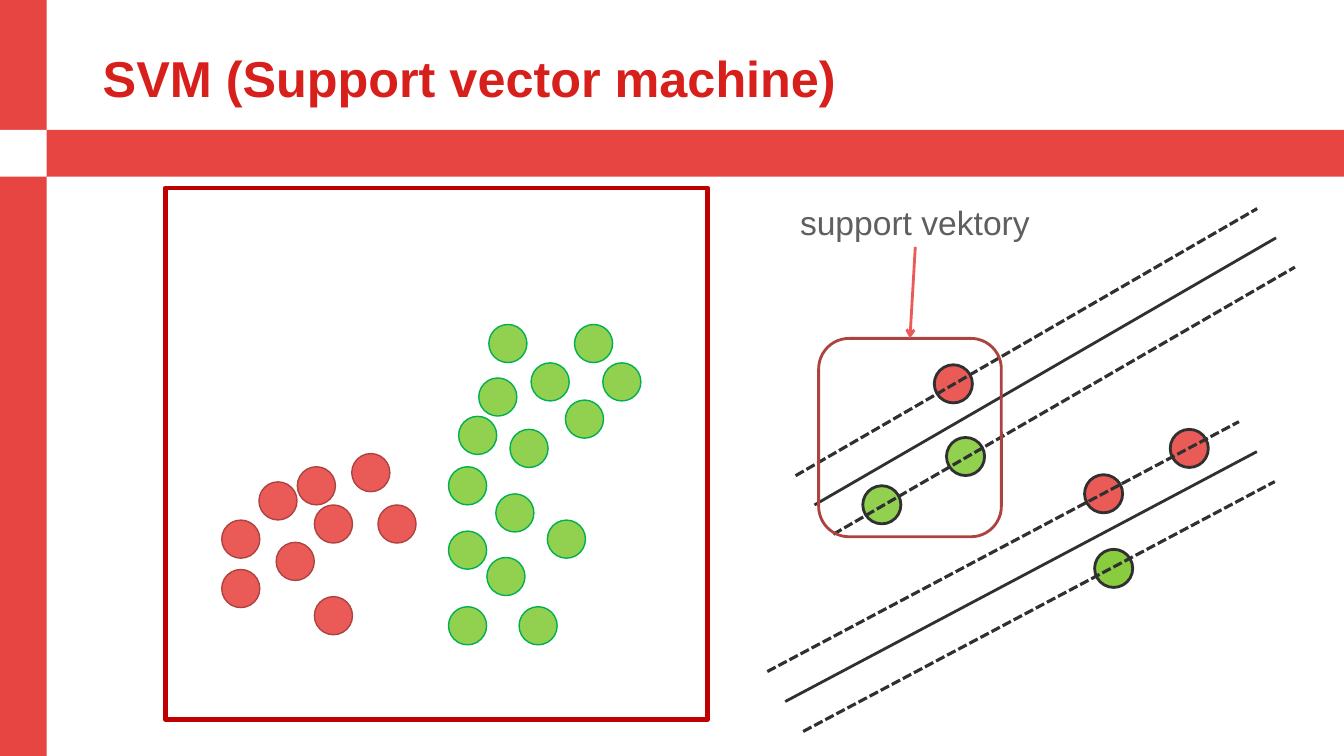
from dataclasses import dataclass
from typing import NamedTuple

from pptx import Presentation
from pptx import util as u
from pptx.dml.color import RGBColor
from pptx.enum import dml, shapes, text
from pptx.oxml.ns import qn
from lxml import etree


# Theme: colours, type and line sizes
@dataclass(frozen=True)
class Theme:
    font: str = "Arial"
    title_size: float = 36
    label_size: float = 24
    title: str = "D71F1B"
    label: str = "5F5F5F"
    band: str = "E74541"
    white: str = "FFFFFF"
    frame: str = "C00000"
    red: str = "EA5B58"
    red_edge: str = "AD4341"
    green: str = "92D050"
    green_edge: str = "00B050"
    deep_green: str = "89CC40"
    ink: str = "303030"
    thin: float = 1
    medium: float = 2
    dashed: float = 2.25
    thick: float = 3.25


class Point(NamedTuple):
    x: float
    y: float


class Box(NamedTuple):
    left: float
    top: float
    width: float
    height: float


@dataclass(frozen=True)
class DotStyle:
    fill: str
    edge: str
    weight: float


@dataclass(frozen=True)
class Cluster:
    style: DotStyle
    corners: list[Point]


@dataclass(frozen=True)
class Separator:
    """A solid boundary with a dashed margin on both sides."""
    start: Point
    end: Point
    offset: Point
    supports: list[Cluster]


THEME = Theme()
WIDTH, HEIGHT = 960, 540
BAND, BAND_TOP = 33.4, 92.8
DOT = 27.2


def points(*pairs: tuple[float, float]) -> list[Point]:
    return [Point(*pair) for pair in pairs]


RED = DotStyle(THEME.red, THEME.red_edge, THEME.thin)
GREEN = DotStyle(THEME.green, THEME.green_edge, THEME.thin)
RED_SUPPORT = DotStyle(THEME.red, THEME.ink, THEME.medium)
GREEN_SUPPORT = DotStyle(THEME.green, THEME.ink, THEME.medium)
DEEP_SUPPORT = DotStyle(THEME.deep_green, THEME.ink, THEME.medium)

CLUSTERS = [
    Cluster(RED, points(
        (158.4, 406.8), (197.3, 387.4), (158.4, 371.5), (185, 344.2), (224.6, 360.7),
        (212.4, 333.4), (224.6, 426.2), (251.3, 324), (270, 360.7))),
    Cluster(GREEN, points(
        (320.4, 433.4), (370.8, 433.4), (347.8, 398.2), (320.4, 379.4), (354.2, 352.8),
        (391, 371.5), (320.4, 333.4), (364.3, 306.7), (403.9, 285.8), (327.6, 297.4),
        (379.4, 259.2), (430.6, 259.2), (410.4, 231.8), (342, 270), (349.2, 231.8))),
]
SEPARATORS = [
    Separator(Point(581.8, 360.7), Point(911.5, 169.9), Point(13.5, 20.9), [
        Cluster(RED_SUPPORT, points((667.4, 260.6))),
        Cluster(GREEN_SUPPORT, points((616.3, 347), (676.1, 312.5)))]),
    Separator(Point(560.9, 501.1), Point(897.8, 322.6), Point(12.8, 21.4), [
        Cluster(DEEP_SUPPORT, points((781.9, 392.4))),
        Cluster(RED_SUPPORT, points((835.9, 306.7), (774.7, 339.1)))]),
]


def add_figure(parent, kind, box: Box, fill: str | None = None,
               edge: str | None = None, weight: float = 1):
    figure = parent.add_shape(kind, *map(u.Pt, box))
    figure.shadow.inherit = False
    if fill:
        figure.fill.solid()
        figure.fill.fore_color.rgb = RGBColor.from_string(fill)
    else:
        figure.fill.background()
    if edge:
        figure.line.color.rgb = RGBColor.from_string(edge)
        figure.line.width = u.Pt(weight)
    else:
        figure.line.fill.background()
    return figure


def add_dots(parent, cluster: Cluster) -> None:
    style = cluster.style
    for corner in cluster.corners:
        add_figure(parent, shapes.MSO_SHAPE.OVAL, Box(*corner, DOT, DOT),
                   style.fill, style.edge, style.weight)


def add_line(parent, start: Point, end: Point, color: str, weight: float,
             dashed: bool = False, arrow: bool = False) -> None:
    line = parent.add_connector(shapes.MSO_CONNECTOR.STRAIGHT, *map(u.Pt, (*start, *end)))
    line.line.color.rgb = RGBColor.from_string(color)
    line.line.width = u.Pt(weight)
    if dashed:
        line.line.dash_style = dml.MSO_LINE.SQUARE_DOT
    properties = line._element.spPr
    if arrow:
        etree.SubElement(properties.find(qn("a:ln")), qn("a:tailEnd"), type="arrow")
    etree.SubElement(properties, qn("a:effectLst"))


def add_separator(parent, separator: Separator) -> None:
    group = parent.add_group_shape().shapes
    for cluster in separator.supports:
        add_dots(group, cluster)
    for side in (1, -1, 0):
        start, end = (Point(p.x + side * separator.offset.x, p.y + side * separator.offset.y)
                      for p in (separator.start, separator.end))
        add_line(group, start, end, THEME.ink,
                 THEME.dashed if side else THEME.medium, dashed=bool(side))


def write(paragraph, words: str, size: float, color: str, bold: bool = False) -> None:
    run = paragraph.add_run()
    run.text = words
    run.font.name = THEME.font
    run.font.size = u.Pt(size)
    run.font.bold = bold
    run.font.color.rgb = RGBColor.from_string(color)


def main() -> None:
    deck = Presentation()
    deck.slide_width, deck.slide_height = u.Pt(WIDTH), u.Pt(HEIGHT)
    slide = deck.slides.add_slide(deck.slide_layouts[5])
    canvas = slide.shapes
    rectangle = shapes.MSO_SHAPE.RECTANGLE

    # Crossing bands
    add_figure(canvas, rectangle, Box(0, 0, BAND, HEIGHT), THEME.band)
    add_figure(canvas, rectangle, Box(0, BAND_TOP, WIDTH, BAND), THEME.band)
    add_figure(canvas, rectangle, Box(0, BAND_TOP, BAND, BAND), THEME.white)

    # Title
    title = canvas.title
    title.left, title.top, title.width, title.height = map(u.Pt, (66.2, 25.2, 828, 65.5))
    title.text_frame.auto_size = text.MSO_AUTO_SIZE.NONE
    title.text_frame.vertical_anchor = text.MSO_ANCHOR.MIDDLE
    heading = title.text_frame.paragraphs[0]
    heading.alignment = text.PP_ALIGN.LEFT
    heading.line_spacing = 0.9
    write(heading, "SVM (Support vector machine)", THEME.title_size, THEME.title, bold=True)

    # Framed data set
    add_figure(canvas, rectangle, Box(118.1, 134.2, 387.4, 379.8),
               edge=THEME.frame, weight=THEME.thick)
    for cluster in CLUSTERS:
        add_dots(canvas, cluster)

    # Separating lines with their support vectors
    for separator in SEPARATORS:
        add_separator(canvas, separator)

    # Label, highlight and arrow
    label = canvas.add_textbox(*map(u.Pt, (520.6, 140.4, 265.7, 36.4))).text_frame
    label.word_wrap = True
    label.auto_size = text.MSO_AUTO_SIZE.SHAPE_TO_FIT_TEXT
    label.paragraphs[0].alignment = text.PP_ALIGN.CENTER
    write(label.paragraphs[0], "support vektory", THEME.label_size, THEME.label)
    add_figure(canvas, shapes.MSO_SHAPE.ROUNDED_RECTANGLE, Box(584.8, 241.7, 130.5, 141.7),
               edge=THEME.red_edge, weight=THEME.medium)
    add_line(canvas, Point(653.8, 176.4), Point(650, 241.7), THEME.red,
             THEME.medium, arrow=True)

    deck.save("out.pptx")


if __name__ == "__main__":
    main()
